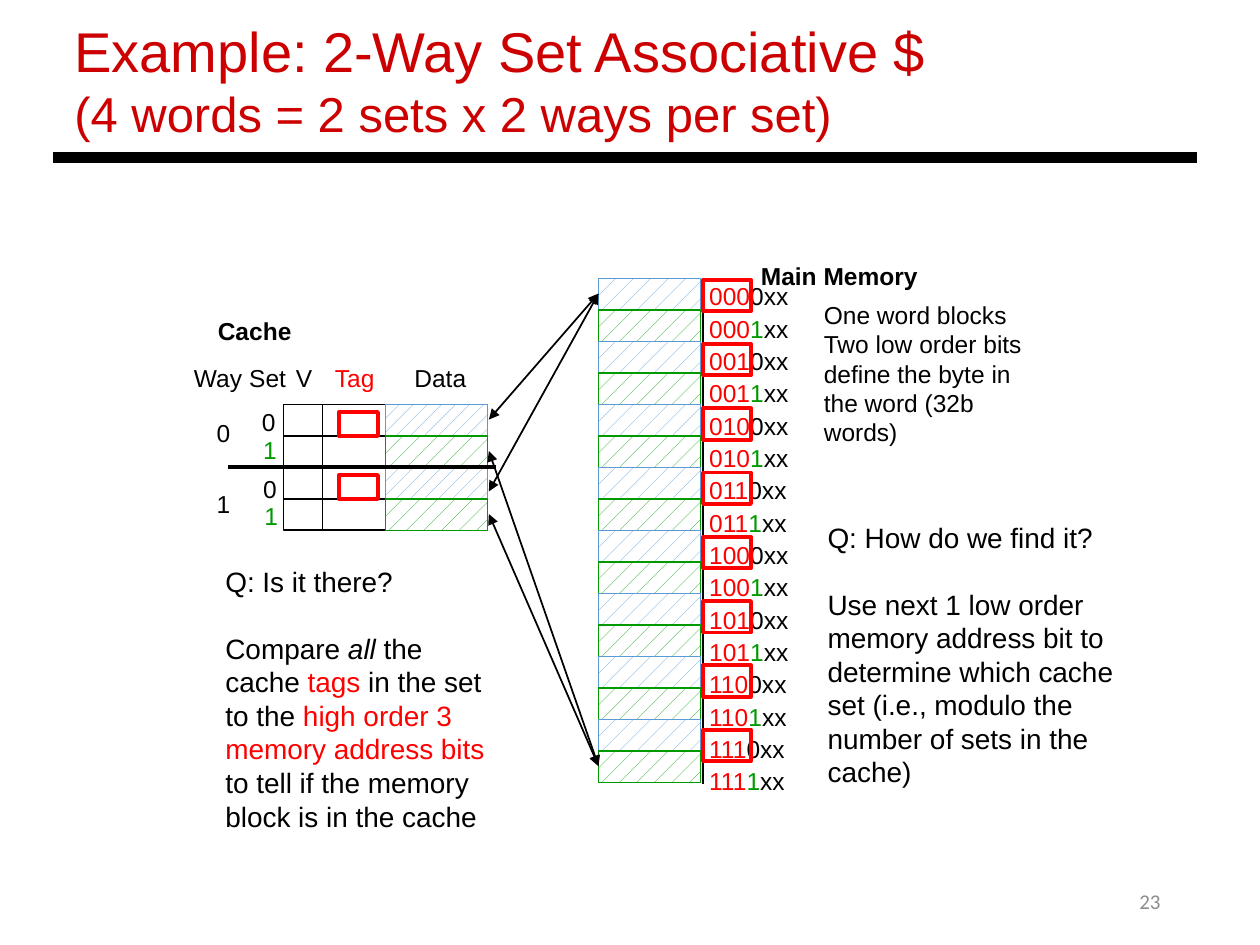
"""Build a slide on a two-way set associative cache and its main memory."""
from lxml.etree import SubElement
from pptx import Presentation
from pptx.dml.color import RGBColor
from pptx.enum.dml import MSO_PATTERN
from pptx.enum.shapes import MSO_CONNECTOR, MSO_SHAPE
from pptx.enum.text import MSO_ANCHOR, MSO_AUTO_SIZE, PP_ALIGN
from pptx.oxml.ns import qn
from pptx.util import Emu, Pt

PX = 9144
COLOURS = {
    "black": "000000", "white": "FFFFFF", "title": "CC0000", "red": "FF0000",
    "green": "009900", "blue": "5B9BD5", "grey": "8C8C8C",
}
BREAK = "\n"
ROW = 25
CELL = 81
MEMORY_LEFT, MEMORY_TOP = 475, 221
CACHE_TOP = 321
DATA_LEFT = 306


def px(length):
    return Emu(length * PX)


def colour(name):
    return RGBColor.from_string(COLOURS[name])


class SlidePainter:
    def __init__(self, slide, font="Arial"):
        self.slide = slide
        self.font = font

    def fill_text(self, box, paragraphs, size, wrap=True, gap=0, formats=None, **font_formats):
        frame = box.text_frame
        frame.word_wrap = wrap
        frame.auto_size = MSO_AUTO_SIZE.SHAPE_TO_FIT_TEXT
        for index, spans in enumerate(paragraphs):
            para = frame.add_paragraph() if index else frame.paragraphs[0]
            values = {"space_before": Pt(gap if index else 0), **(formats or {})}
            for key, value in values.items():
                setattr(para, key, value)
            for text, ink, *changes in spans:
                if text == BREAK:
                    para.add_line_break()
                    continue
                span = para.add_run()
                span.text = text
                span.font.color.rgb = colour(ink)
                style = {"name": self.font, "size": Pt(size), **font_formats}
                for change in changes:
                    style.update(change)
                for key, value in style.items():
                    setattr(span.font, key, value)
        return frame

    def title(self, bounds, spans, size):
        box = self.slide.shapes.title
        for key, value in zip(("left", "top", "width", "height"), bounds):
            setattr(box, key, px(value))
        frame = self.fill_text(box, [spans], size, formats={"alignment": PP_ALIGN.LEFT})
        frame.vertical_anchor = MSO_ANCHOR.TOP

    def text(self, bounds, paragraphs, size=14, **options):
        box = self.slide.shapes.add_textbox(*map(px, bounds))
        return self.fill_text(box, paragraphs, size, **options)

    def label(self, left, top, width, text, ink="black", **options):
        self.text((left, top, width, 34), [[(text, ink)]], wrap=False, **options)

    def rectangle(self, bounds, ink, width=1.0, pattern=None):
        box = self.slide.shapes.add_shape(MSO_SHAPE.RECTANGLE, *map(px, bounds))
        box.shadow.inherit = False
        box.line.color.rgb = colour(ink)
        box.line.width = Pt(width)
        if pattern is None:
            box.fill.background()
        else:
            box.fill.patterned()
            box.fill.pattern = pattern
            box.fill.fore_color.rgb = colour(ink)
            box.fill.back_color.rgb = colour("white")

    def line(self, start, end, width=1.0, arrows=False):
        connector = self.slide.shapes.add_connector(
            MSO_CONNECTOR.STRAIGHT, *map(px, start + end))
        connector.line.color.rgb = colour("black")
        connector.line.width = Pt(width)
        properties = connector._element.spPr
        if arrows:
            outline = properties.find(qn("a:ln"))
            for tag in ("a:headEnd", "a:tailEnd"):
                SubElement(outline, qn(tag), type="triangle")
        SubElement(properties, qn("a:effectLst"))

    def column(self, left, width):
        self.rectangle((left, CACHE_TOP, width, 4 * ROW), "black")
        for row in range(1, 4):
            top = CACHE_TOP + row * ROW
            self.line((left, top), (left + width, top))

    def words(self, left, top, count, blue_pattern):
        for row in range(count):
            ink, pattern = (("green", MSO_PATTERN.PERCENT_5) if row % 2
                            else ("blue", blue_pattern))
            self.rectangle((left, top + row * ROW, CELL, ROW), ink, pattern=pattern)


def address(number):
    bits = f"{number:04b}"
    if number % 2:
        return [(bits[:3], "red"), (bits[3], "green"), ("xx", "black")]
    return [(bits[:3], "red"), (bits[3] + "xx", "black")]


def draw_cache(painter):
    painter.column(225, 31)
    painter.column(256, 50)
    painter.words(DATA_LEFT, CACHE_TOP, 4, MSO_PATTERN.PERCENT_10)
    painter.line((181, 371), (394, 371), 2.25)
    for top in (327, 377):
        painter.rectangle((269, top, 31, 19), "red", 2.25)
    painter.label(163, 246, 79, "Cache", bold=True)
    for left, width, text, ink in (
            (144, 59, "Way", "black"), (188, 50, "Set", "black"),
            (225, 33, "V", "black"), (256, 52, "Tag", "red"),
            (319, 62, "Data", "black")):
        painter.label(left, 283, width, text, ink)
    for left, top, text, ink in (
            (162, 327, "0", "black"), (162, 383, "1", "black"),
            (198, 318, "0", "black"), (199, 340, "1", "green"),
            (199, 371, "0", "black"), (200, 393, "1", "green")):
        painter.label(left, top, 31, text, ink)


def draw_memory(painter):
    painter.line((558, 222), (558, 622))
    painter.words(MEMORY_LEFT, MEMORY_TOP, 16, MSO_PATTERN.PERCENT_5)
    painter.label(594, 202, 145, "Main Memory", bold=True)
    painter.text((553, 216, 98, 425), [address(number) for number in range(16)],
                 formats={"line_spacing": 1.1})
    for block in range(8):
        painter.rectangle((558, 222 + block * 51, 38, ROW), "red", 2.25)


def draw_links(painter):
    for cache_y, memory_y in ((333, 233), (390, 233), (408, 608), (358, 608)):
        painter.line((388, cache_y), (MEMORY_LEFT, memory_y), arrows=True)


def draw_notes(painter):
    painter.text((644, 233, 200, 104), [
        [("One word blocks", "black")],
        [("Two low order bits define the byte in the word (32b words)", "black")]])
    painter.text((647, 408, 266, 226), [
        [("Q: How do we find it?", "black")],
        [("Use next 1 low order memory address bit to determine which cache set "
          "(i.e., modulo the number of sets in the cache)", "black")]], 16, gap=19)
    painter.text((169, 443, 231, 226), [
        [("Q: Is it there?", "black")],
        [("Compare ", "black"), ("all", "black", {"italic": True}),
         (" the cache ", "black"), ("tags ", "red"), ("in the set to the ", "black"),
         ("high order 3 memory address bits", "red"),
         (" to tell if the memory block is in the cache", "black")]], 16, gap=19)


def main():
    deck = Presentation()
    deck.slide_width, deck.slide_height = px(1000), px(750)
    painter = SlidePainter(deck.slides.add_slide(deck.slide_layouts[5]))
    painter.title((49, 8, 770, 111), [
        ("Example: 2-Way Set Associative $", "title"), (BREAK, "title"),
        ("(4 words = 2 sets x 2 ways per set)", "title", {"size": Pt(28)})], 32)
    painter.line((42, 125), (950, 125), 6)
    draw_cache(painter)
    draw_memory(painter)
    draw_links(painter)
    draw_notes(painter)
    number = painter.text((706, 695, 225, 40), [[("23", "grey", {"name": "Calibri"})]],
                          12, formats={"alignment": PP_ALIGN.RIGHT})
    number.auto_size = MSO_AUTO_SIZE.NONE
    number.vertical_anchor = MSO_ANCHOR.MIDDLE
    deck.save("out.pptx")


if __name__ == "__main__":
    main()
